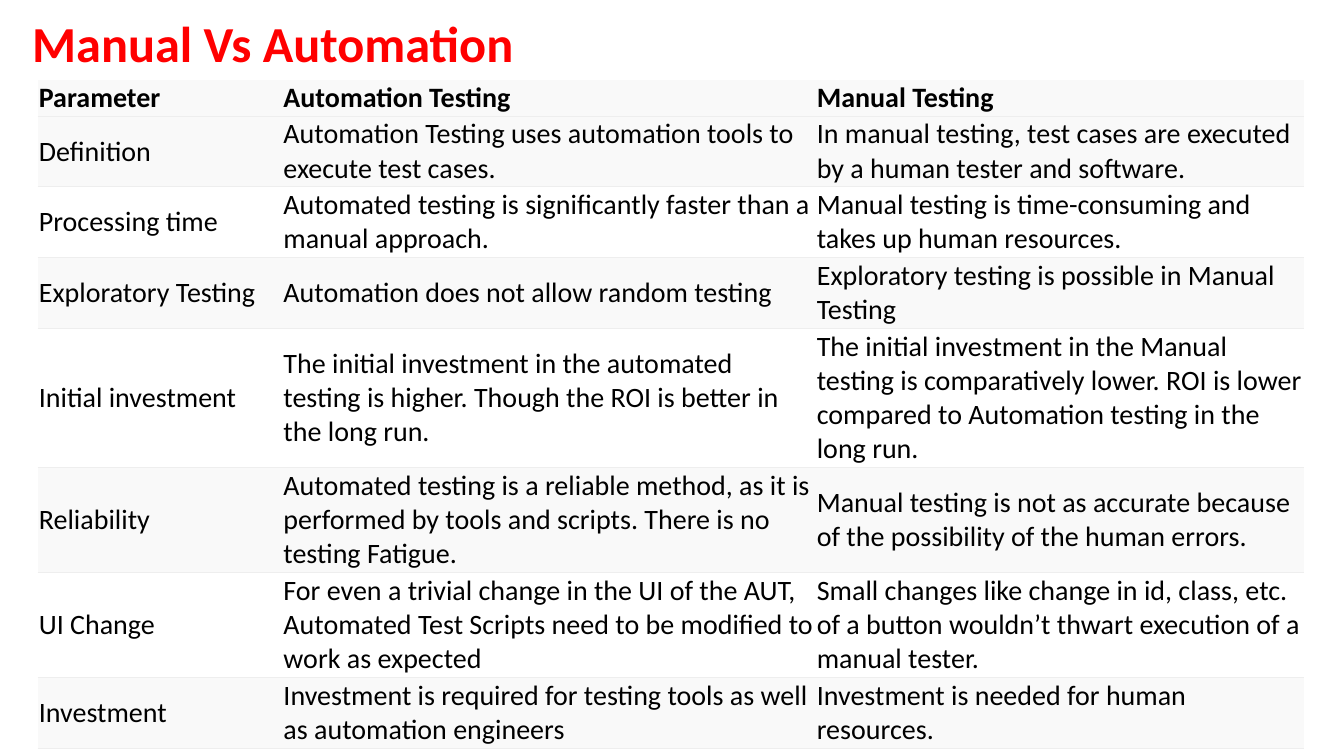
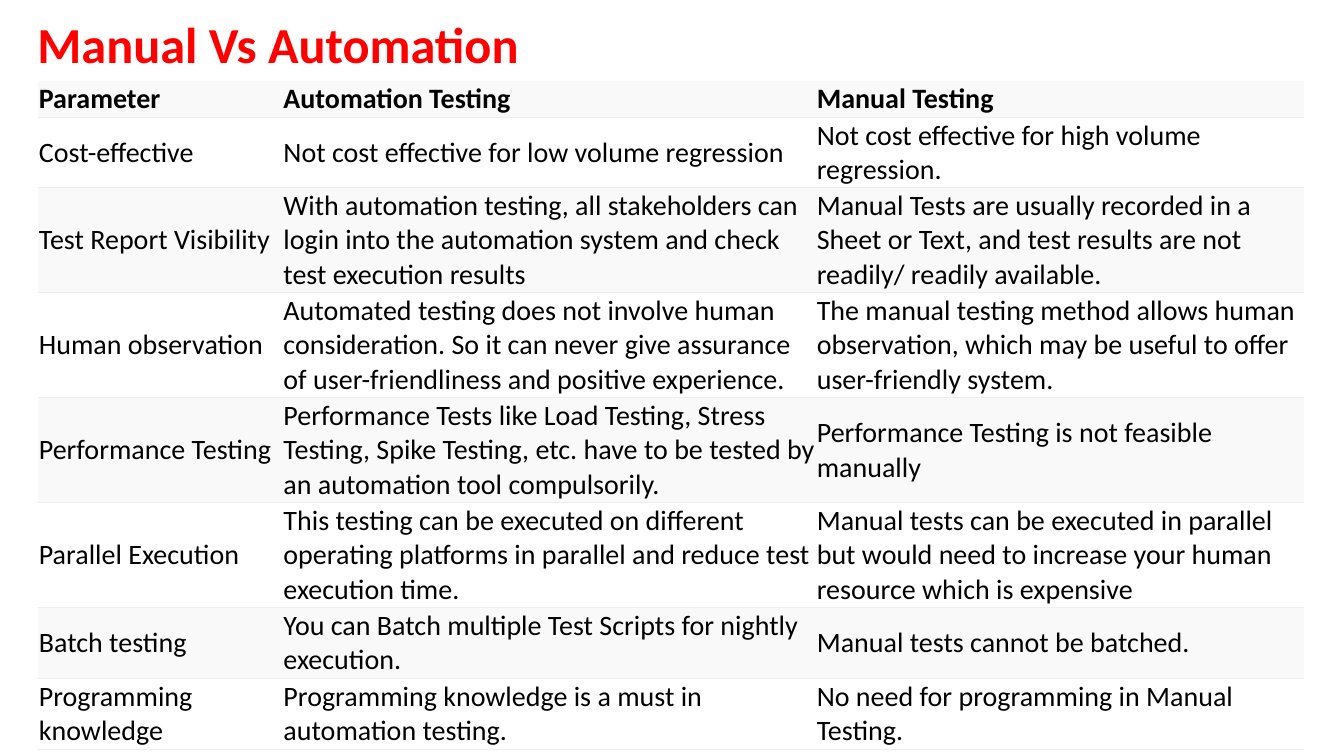
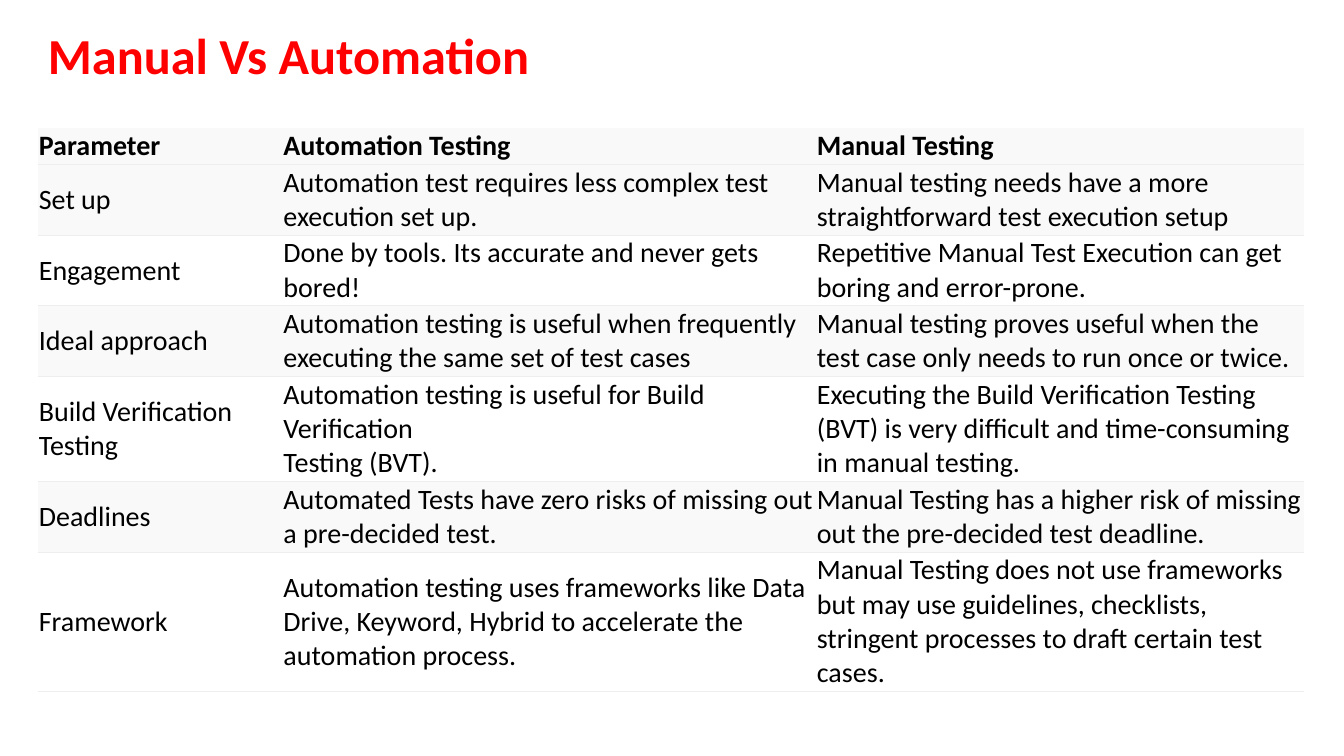
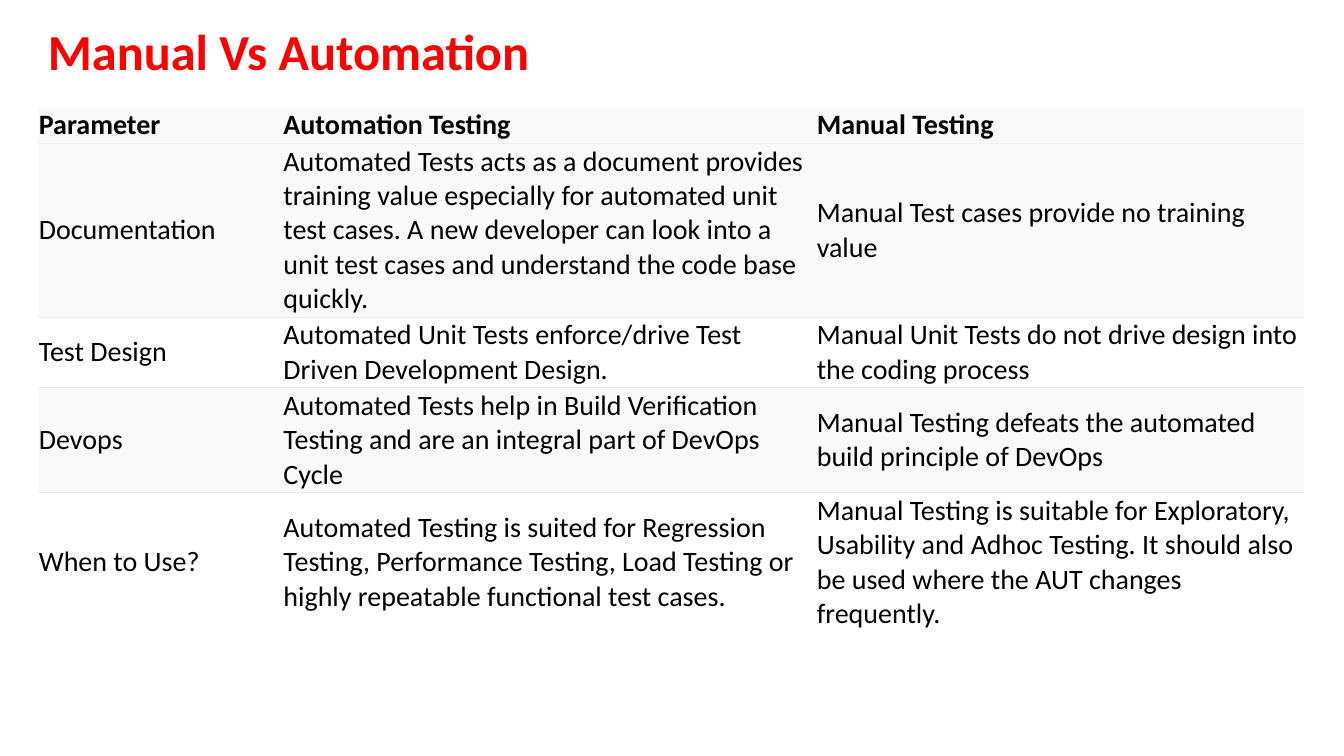
"""Build four slides that compare manual with automation testing."""
from dataclasses import dataclass
from typing import NamedTuple

from lxml import etree
from pptx import Presentation
from pptx.dml.color import RGBColor
from pptx.enum.text import MSO_ANCHOR, MSO_AUTO_SIZE, PP_ALIGN
from pptx.oxml.ns import qn
from pptx.util import Emu, Pt

MID = MSO_ANCHOR.MIDDLE
LEFT = PP_ALIGN.LEFT
FIXED = MSO_AUTO_SIZE.NONE

RED = RGBColor(0xFF, 0x00, 0x00)
BLACK = RGBColor(0x00, 0x00, 0x00)
WHITE = RGBColor(0xFF, 0xFF, 0xFF)
PALE = RGBColor(0xF9, 0xF9, 0xF9)
RULE = RGBColor(0xEE, 0xEE, 0xEE)

FONT = "Calibri"
TITLE = "Manual Vs Automation"
PLAIN = "{2D5ABB26-0587-4C30-8999-92F81FD0307C}"
SCALE = 9525
WIDE, HIGH = 1280, 720
EDGE = 36
COLS = (233, 508, 465)
LINE = 32
PAD = 1


class Row(NamedTuple):
    """One table row, with the number of text lines it needs."""
    lines: int
    topic: str
    auto: str
    hand: str


@dataclass(frozen=True)
class Page:
    """One slide: title place, table top, stripe start and rows."""
    left: int
    top: int
    table: int
    bands: tuple[RGBColor, RGBColor]
    rows: tuple[Row, ...]
    closed: bool = True


HEAD = Row(1, "Parameter", "Automation Testing", "Manual Testing")

PAGES = (
    Page(21, 13, 76, (PALE, WHITE), (
        Row(2, "Definition",
            "Automation Testing uses automation tools to execute test cases.",
            "In manual testing, test cases are executed by a human tester and software."),
        Row(2, "Processing time",
            "Automated testing is significantly faster than a manual approach.",
            "Manual testing is time-consuming and takes up human resources."),
        Row(2, "Exploratory Testing",
            "Automation does not allow random testing",
            "Exploratory testing is possible in Manual Testing"),
        Row(4, "Initial investment",
            "The initial investment in the automated testing is higher. "
            "Though the ROI is better in the long run.",
            "The initial investment in the Manual testing is comparatively lower. "
            "ROI is lower compared to Automation testing in the long run."),
        Row(3, "Reliability",
            "Automated testing is a reliable method, as it is performed by tools "
            "and scripts. There is no testing Fatigue.",
            "Manual testing is not as accurate because of the possibility of the "
            "human errors."),
        Row(3, "UI Change",
            "For even a trivial change in the UI of the AUT, Automated Test Scripts "
            "need to be modified to work as expected",
            "Small changes like change in id, class, etc. of a button wouldn’t "
            "thwart execution of a manual tester."),
        Row(2, "Investment",
            "Investment is required for testing tools as well as automation engineers",
            "Investment is needed for human resources."),
    )),
    Page(26, 14, 77, (WHITE, PALE), (
        Row(2, "Cost-effective",
            "Not cost effective for low volume regression",
            "Not cost effective for high volume regression."),
        Row(3, "Test Report Visibility",
            "With automation testing, all stakeholders can login into the automation "
            "system and check test execution results",
            "Manual Tests are usually recorded in a Sheet or Text, and test results "
            "are not readily/ readily available."),
        Row(3, "Human observation",
            "Automated testing does not involve human consideration. So it can never "
            "give assurance of user-friendliness and positive experience.",
            "The manual testing method allows human observation, which may be useful "
            "to offer user-friendly system."),
        Row(3, "Performance Testing",
            "Performance Tests like Load Testing, Stress Testing, Spike Testing, etc. "
            "have to be tested by an automation tool compulsorily.",
            "Performance Testing is not feasible manually"),
        Row(3, "Parallel Execution",
            "This testing can be executed on different operating platforms in "
            "parallel and reduce test execution time.",
            "Manual tests can be executed in parallel but would need to increase "
            "your human resource which is expensive"),
        Row(2, "Batch testing",
            "You can Batch multiple Test Scripts for nightly execution.",
            "Manual tests cannot be batched."),
        Row(2, "Programming knowledge",
            "Programming knowledge is a must in automation testing.",
            "No need for programming in Manual Testing."),
    )),
    Page(36, 24, 122, (PALE, WHITE), (
        Row(2, "Set up",
            "Automation test requires less complex test execution set up.",
            "Manual testing needs have a more straightforward test execution setup"),
        Row(2, "Engagement",
            "Done by tools. Its accurate and never gets bored!",
            "Repetitive Manual Test Execution can get boring and error-prone."),
        Row(2, "Ideal approach",
            "Automation testing is useful when frequently executing the same set of "
            "test cases",
            "Manual testing proves useful when the test case only needs to run once "
            "or twice."),
        Row(3, "Build Verification\nTesting",
            "Automation testing is useful for Build Verification\nTesting (BVT).",
            "Executing the Build Verification Testing (BVT) is very difficult and "
            "time-consuming in manual testing."),
        Row(2, "Deadlines",
            "Automated Tests have zero risks of missing out a pre-decided test.",
            "Manual Testing has a higher risk of missing out the pre-decided test "
            "deadline."),
        Row(4, "Framework",
            "Automation testing uses frameworks like Data Drive, Keyword, Hybrid to "
            "accelerate the automation process.",
            "Manual Testing does not use frameworks but may use guidelines, "
            "checklists, stringent processes to draft certain test cases."),
    )),
    Page(36, 21, 102, (PALE, WHITE), (
        Row(5, "Documentation",
            "Automated Tests acts as a document provides training value especially "
            "for automated unit test cases. A new developer can look into a unit "
            "test cases and understand the code base quickly.",
            "Manual Test cases provide no training value"),
        Row(2, "Test Design",
            "Automated Unit Tests enforce/drive Test Driven Development Design.",
            "Manual Unit Tests do not drive design into the coding process"),
        Row(3, "Devops",
            "Automated Tests help in Build Verification Testing and are an integral "
            "part of DevOps Cycle",
            "Manual Testing defeats the automated build principle of DevOps"),
        Row(4, "When to Use?",
            "Automated Testing is suited for Regression Testing, Performance Testing, "
            "Load Testing or highly repeatable functional test cases.",
            "Manual Testing is suitable for Exploratory, Usability and Adhoc Testing. "
            "It should also be used where the AUT changes frequently."),
    ), closed=False),
)


def px(num: int) -> Emu:
    """Turn px into EMU."""
    return Emu(num * SCALE)


def write(para, text: str, size: int, color: RGBColor, bold: bool) -> None:
    """Add text run by run, with a line break at each newline."""
    for num, part in enumerate(text.split("\n")):
        if num:
            para.add_line_break()
        run = para.add_run()
        run.text = part
        run.font.name = FONT
        run.font.size = Pt(size)
        run.font.bold = bold
        run.font.color.rgb = color


def border(cell, side: str) -> None:
    """Draw a thin rule on one side of a cell."""
    props = cell._tc.get_or_add_tcPr()
    line = etree.SubElement(props, qn(f"a:{side}"), w=str(Pt(0.75)))
    fill = etree.SubElement(line, qn("a:solidFill"))
    etree.SubElement(fill, qn("a:srgbClr"), val=str(RULE))


def add_title(slide, page: Page) -> None:
    """Place and format the title."""
    box = slide.shapes.title
    box.left, box.top = px(page.left), px(page.top)
    box.width, box.height = px(1145), px(62)
    frame = box.text_frame
    frame.auto_size = FIXED
    frame.word_wrap = True
    frame.vertical_anchor = MID
    para = frame.paragraphs[0]
    para.alignment = LEFT
    para.line_spacing = 0.9
    write(para, TITLE, 36, RED, True)


def fill_cell(cell, text: str, shade: RGBColor, sides: list[str], bold: bool) -> None:
    """Set the rules, fill and text of one cell."""
    for side in sides:
        border(cell, side)
    cell.fill.solid()
    cell.fill.fore_color.rgb = shade
    cell.vertical_anchor = MID
    cell.margin_left = cell.margin_right = px(PAD)
    cell.margin_top = cell.margin_bottom = px(PAD)
    write(cell.text_frame.paragraphs[0], text, 20, BLACK, bold)


def add_grid(slide, page: Page) -> None:
    """Draw the table below the title."""
    rows = (HEAD, *page.rows)
    highs = [LINE * row.lines + 2 * PAD for row in rows]
    table = slide.shapes.add_table(
        len(rows), len(COLS), px(EDGE), px(page.table), px(sum(COLS)), px(sum(highs))
    ).table
    table.first_row = table.horz_banding = False
    table._tbl.tblPr.find(qn("a:tableStyleId")).text = PLAIN
    for col, wide in zip(table.columns, COLS):
        col.width = px(wide)
    for num, (row, high) in enumerate(zip(rows, highs)):
        table.rows[num].height = px(high)
        head = num == 0
        last = num == len(rows) - 1
        shade = PALE if head else page.bands[(num - 1) % 2]
        sides = [] if head else ["lnT"]
        if page.closed or not last:
            sides.append("lnB")
        for cell, text in zip(table.rows[num].cells, row[1:]):
            fill_cell(cell, text, shade, sides, head)


def main() -> None:
    """Build and save the slides."""
    deck = Presentation()
    deck.slide_width, deck.slide_height = px(WIDE), px(HIGH)
    for page in PAGES:
        slide = deck.slides.add_slide(deck.slide_layouts[5])
        add_title(slide, page)
        add_grid(slide, page)
    deck.save("out.pptx")


if __name__ == "__main__":
    main()
